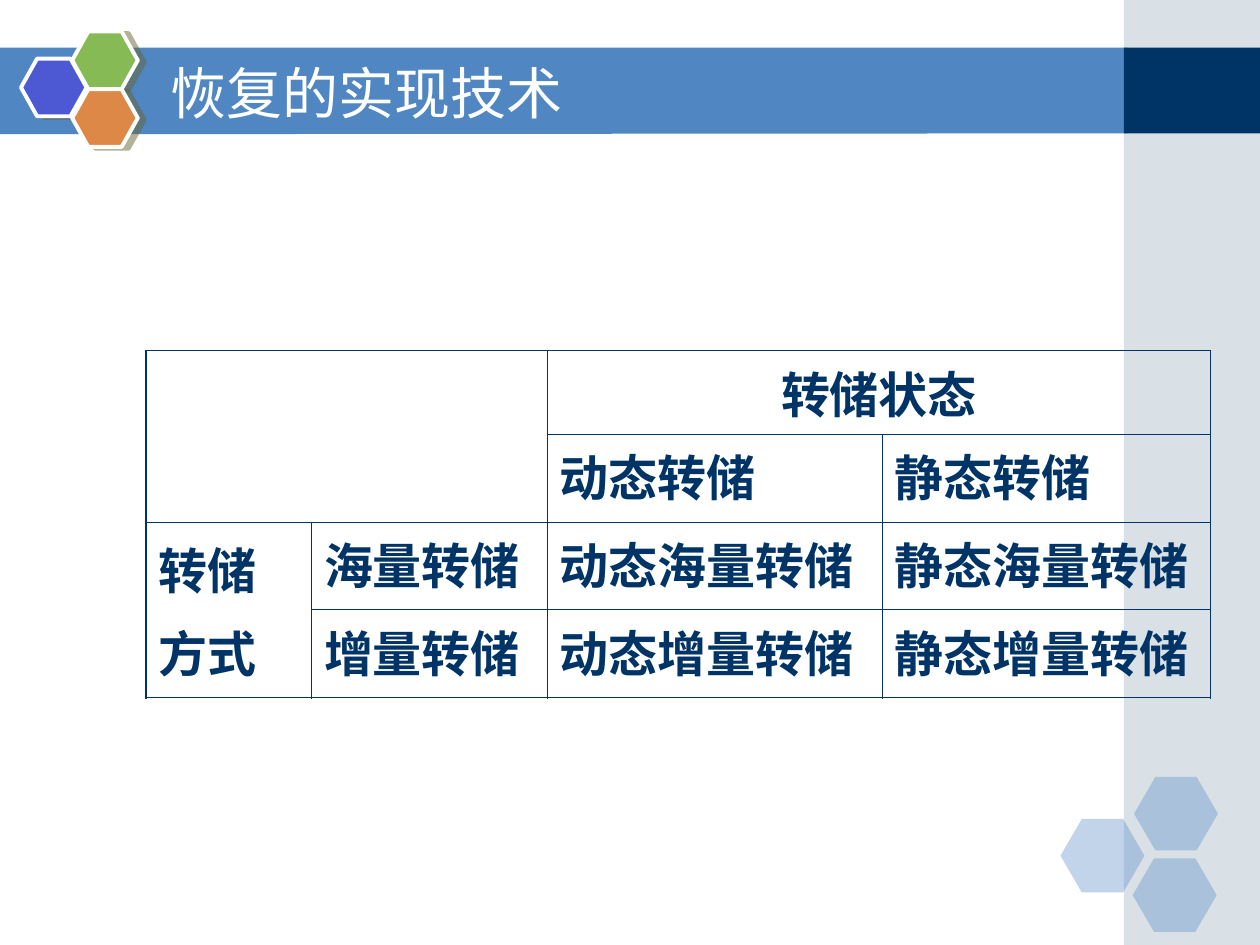
"""Build the slide on recovery techniques with its dump-type table."""
from lxml import etree
from pptx import Presentation
from pptx.dml.color import RGBColor
from pptx.enum.shapes import MSO_SHAPE
from pptx.enum.text import MSO_ANCHOR, PP_ALIGN
from pptx.oxml.ns import qn
from pptx.util import Pt

RECTANGLE, HEXAGON = MSO_SHAPE.RECTANGLE, MSO_SHAPE.HEXAGON
LEFT, CENTER = PP_ALIGN.LEFT, PP_ALIGN.CENTER
MIDDLE = MSO_ANCHOR.MIDDLE

NAVY = RGBColor(0x00, 0x33, 0x66)
BLUE = RGBColor(0x50, 0x86, 0xC2)
GREY_BLUE = RGBColor(0xA0, 0xB5, 0xC4)
VIOLET = RGBColor(0x4C, 0x59, 0xD2)
GREEN = RGBColor(0x85, 0xBA, 0x54)
ORANGE = RGBColor(0xDE, 0x88, 0x48)
OLIVE = RGBColor(0x66, 0x66, 0x33)
WHITE = RGBColor(0xFF, 0xFF, 0xFF)

TITLE = "恢复的实现技术"
CELLS = [
    ["", None, "转储状态", None],
    [None, None, "动态转储", "静态转储"],
    ["转储\n方式", "海量转储", "动态海量转储", "静态海量转储"],
    [None, "增量转储", "动态增量转储", "静态增量转储"],
]
MERGES = [((0, 0), (1, 1)), ((0, 2), (0, 3)), ((2, 0), (3, 0))]
COLUMN_WIDTHS = [94.5, 134.75, 191.25, 187.75]
ROW_HEIGHTS = [47.75, 50.25, 50.25, 50.25]
TABLE_LEFT, TABLE_TOP = 83.5, 200.25
THIN, THICK = 0.45, 1.08

BAND_POINTS = [(-0.5, 27.25), (644.25, 27.25), (644.25, 76.25), (-0.5, 76.75)]
SIDE_LEFT, SIDE_WIDTH = 642.25, 77.75
PALE_HEXAGONS = [(606, 468), (648, 444), (647.25, 490.5)]
EMBLEM_HEXAGONS = [(12, 33.5, VIOLET), (41.25, 18, GREEN), (41.25, 51, ORANGE)]


def add_color(parent, color, alpha=None):
    node = etree.SubElement(parent, qn("a:srgbClr"), val=str(color))
    if alpha is not None:
        etree.SubElement(node, qn("a:alpha"), val=str(alpha * 1000))


def paint(shape, color, alpha=None):
    shape.shadow.inherit = False
    shape.fill.solid()
    shape.fill.fore_color.rgb = color
    shape.line.fill.background()
    if alpha is not None:
        node = shape.fill._xPr.find(qn("a:solidFill")).find(qn("a:srgbClr"))
        etree.SubElement(node, qn("a:alpha"), val=str(alpha * 1000))


def add_shape(slide, preset, box, color, alpha=None):
    shape = slide.shapes.add_shape(preset, *map(Pt, box))
    paint(shape, color, alpha)
    return shape


def add_emblem_hexagon(slide, left, top, color):
    hexagon = add_shape(slide, HEXAGON, (left, top, 37.5, 33), color)
    hexagon.adjustments[0] = 0.28
    hexagon.line.color.rgb = WHITE
    hexagon.line.width = Pt(2.25)
    effects = hexagon._element.spPr.find(qn("a:effectLst"))
    shadow = etree.SubElement(effects, qn("a:outerShdw"), blurRad="0", dist=str(Pt(4.1)),
                              dir=str(14 * 60000), algn="ctr", rotWithShape="0")
    add_color(shadow, OLIVE, 50)


def write(frame, text, size, font, color, bold=False, align=LEFT, before=0):
    for index, line in enumerate(text.split("\n")):
        paragraph = frame.add_paragraph() if index else frame.paragraphs[0]
        paragraph.alignment = align
        paragraph.space_before = Pt(before)
        run = paragraph.add_run()
        run.text = line
        run.font.size = Pt(size)
        run.font.name = font
        run.font.bold = bold
        run.font.color.rgb = color


def add_borders(cell, widths):
    properties = cell._tc.get_or_add_tcPr()
    for side, width in widths.items():
        line = etree.SubElement(properties, qn("a:" + side), w=str(Pt(width)))
        add_color(etree.SubElement(line, qn("a:solidFill")), NAVY)


def add_dump_table(slide):
    rows, columns = len(ROW_HEIGHTS), len(COLUMN_WIDTHS)
    table = slide.shapes.add_table(rows, columns, Pt(TABLE_LEFT), Pt(TABLE_TOP),
                                   Pt(sum(COLUMN_WIDTHS)), Pt(sum(ROW_HEIGHTS))).table
    table.first_row = table.horz_banding = False
    for column, width in zip(table.columns, COLUMN_WIDTHS):
        column.width = Pt(width)
    for row, height in zip(table.rows, ROW_HEIGHTS):
        row.height = Pt(height)
    for first, last in MERGES:
        table.cell(*first).merge(table.cell(*last))
    for r, texts in enumerate(CELLS):
        for c, text in enumerate(texts):
            cell = table.cell(r, c)
            tall = cell.span_height if cell.is_merge_origin else 1
            wide = cell.span_width if cell.is_merge_origin else 1
            add_borders(cell, {
                "lnL": THICK if c == 0 else THIN,
                "lnR": THICK if c + wide == columns else THIN,
                "lnT": THICK if r == 0 else THIN,
                "lnB": THICK if r + tall == rows else THIN,
            })
            cell.fill.background()
            if text:
                write(cell.text_frame, text, size=28, font="Times New Roman", color=NAVY,
                      bold=True, align=CENTER if wide > 1 else LEFT, before=7)
                if tall > 1:
                    cell.vertical_anchor = MIDDLE


def main():
    deck = Presentation()
    deck.slide_width, deck.slide_height = Pt(720), Pt(540)
    slide = deck.slides.add_slide(deck.slide_layouts[5])

    builder = slide.shapes.build_freeform(*map(Pt, BAND_POINTS[0]), scale=1.0)
    builder.add_line_segments([(Pt(x), Pt(y)) for x, y in BAND_POINTS[1:]], close=True)
    paint(builder.convert_to_shape(), BLUE)
    add_shape(slide, RECTANGLE, (SIDE_LEFT, 0, SIDE_WIDTH, 540), GREY_BLUE, 40)
    add_shape(slide, RECTANGLE, (SIDE_LEFT, 27.25, SIDE_WIDTH, 49), NAVY)
    for left, top in PALE_HEXAGONS:
        hexagon = add_shape(slide, HEXAGON, (left, top, 48, 42), BLUE, 35)
        hexagon.adjustments[0] = 0.29
    for left, top, color in EMBLEM_HEXAGONS:
        add_emblem_hexagon(slide, left, top, color)

    title = slide.shapes.title
    title.left, title.top, title.width, title.height = map(Pt, (90, 30.25, 527.75, 44.75))
    title.text_frame.vertical_anchor = MIDDLE
    write(title.text_frame, TITLE, size=32, font="DejaVu Sans", color=WHITE)
    slide.shapes._spTree.append(title._element)

    add_dump_table(slide)
    deck.save("out.pptx")


if __name__ == "__main__":
    main()
